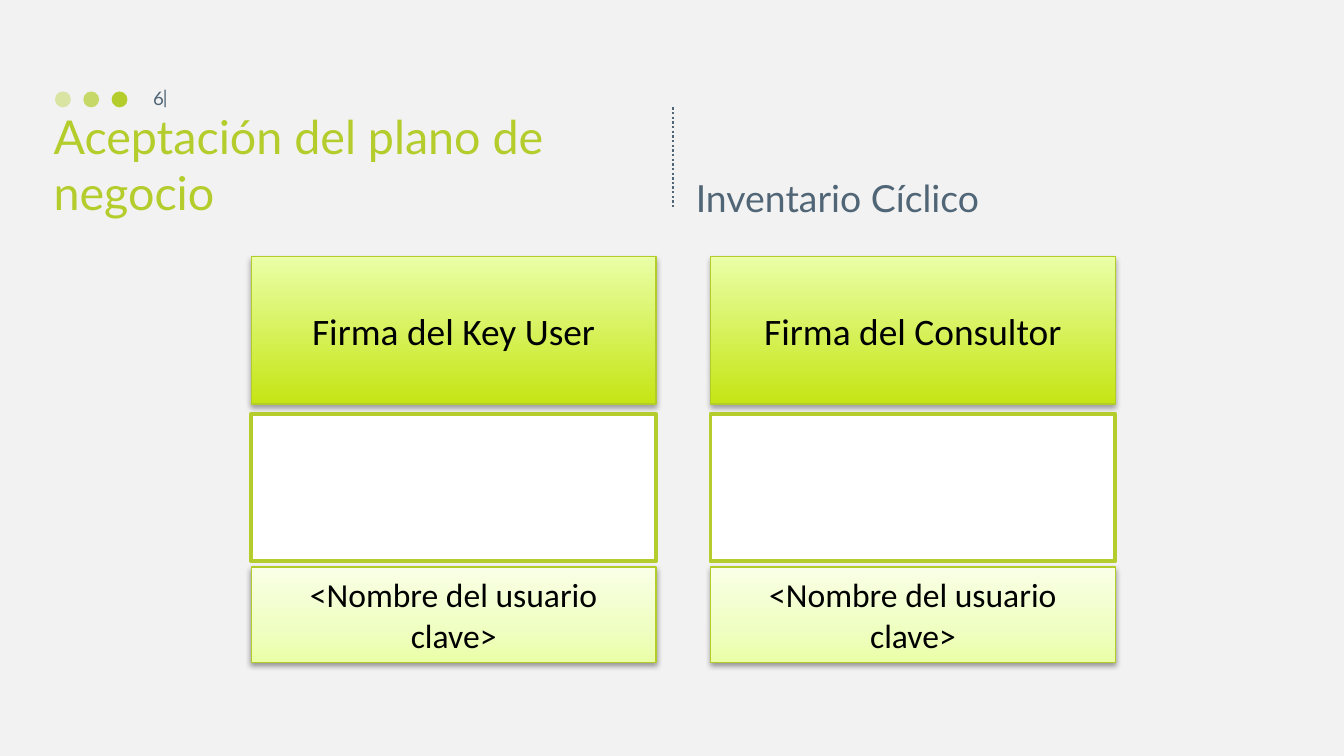
from lxml import etree
from pptx import Presentation
from pptx.dml.color import RGBColor
from pptx.enum import dml, shapes, text
from pptx.oxml.ns import qn
from pptx.util import Cm, Pt

LIME = RGBColor(0xB4, 0xCD, 0x2C)
EDGE = RGBColor(0xB3, 0xCC, 0x27)
SLATE = RGBColor(0x50, 0x65, 0x76)
PAPER = RGBColor(0xF2, 0xF2, 0xF2)
WHITE = RGBColor(0xFF, 0xFF, 0xFF)
BLACK = RGBColor(0x00, 0x00, 0x00)
HEADER_STOPS = [(0, "C5E514"), (100, "EAFFA7")]
NAME_STOPS = [(0, "EAFFA7"), (35, "EFFFC1"), (100, "F9FFE7")]


def child(parent, tag, **values):
    return etree.SubElement(parent, qn(tag), {k: str(v) for k, v in values.items()})


def write(frame, words, size, color, font="Lato", anchor=text.MSO_ANCHOR.MIDDLE,
          align=text.PP_ALIGN.LEFT):
    frame.word_wrap = True
    frame.auto_size = text.MSO_AUTO_SIZE.NONE
    frame.vertical_anchor = anchor
    line = frame.paragraphs[0]
    line.alignment = align
    run = line.add_run()
    run.text = words
    for key, value in {"name": font, "size": Pt(size)}.items():
        setattr(run.font, key, value)
    run.font.color.rgb = color
    return line


deck = Presentation()
deck.slide_width, deck.slide_height = Cm(25.4), Cm(14.29)
slide = deck.slides.add_slide(deck.slide_layouts[5])
slide.background.fill.solid()
slide.background.fill.fore_color.rgb = PAPER

# Three dots, fading to the left
for i, opacity in enumerate((40, 70, 100)):
    dot = slide.shapes.add_shape(shapes.MSO_SHAPE.OVAL, Cm(1.04 + 0.535 * i), Cm(1.73),
                                 Cm(0.3), Cm(0.3))
    dot.shadow.inherit = False
    dot.fill.solid()
    dot.fill.fore_color.rgb = LIME
    dot.line.fill.background()
    if opacity < 100:
        tint = dot.fill._xPr.find(qn("a:solidFill"))[0]
        child(tint, "a:alpha", val=opacity * 1000)

# Dotted divider between title and subject
divider = slide.shapes.add_connector(shapes.MSO_CONNECTOR.STRAIGHT,
                                     Cm(12.72), Cm(2.03), Cm(12.72), Cm(3.94))
divider.line.color.rgb = SLATE
divider.line.width = Pt(1.25)
divider.line.dash_style = dml.MSO_LINE.ROUND_DOT
child(divider._element.spPr, "a:effectLst")

# Page number and its bar
bar = slide.shapes.add_textbox(Cm(3.05), Cm(1.68), Cm(0.15), Cm(0.38)).text_frame
write(bar, "|", 10, SLATE, anchor=text.MSO_ANCHOR.TOP,
      align=text.PP_ALIGN.CENTER).line_spacing = 0.5
for side, inset in {"left": 0, "right": 0, "top": 0.13, "bottom": 0}.items():
    setattr(bar, f"margin_{side}", Cm(inset))
bar.word_wrap = False
page = slide.shapes.add_textbox(Cm(2.18), Cm(1.47), Cm(1.17), Cm(0.76))
write(page.text_frame, "6", 10, SLATE, align=text.PP_ALIGN.RIGHT)

# Title and subject
title = slide.shapes.title
for key, value in {"left": 0.76, "top": 1.9, "width": 11.66, "height": 2.39}.items():
    setattr(title, key, Cm(value))
write(title.text_frame, "Aceptación del plano de negocio", 25, LIME,
      anchor=text.MSO_ANCHOR.BOTTOM)
subject = slide.shapes.add_textbox(Cm(12.9), Cm(1.9), Cm(11.23), Cm(2.39))
write(subject.text_frame, "Inventario Cíclico", 20, SLATE, anchor=text.MSO_ANCHOR.BOTTOM)

# Signature columns: header, signing space, name
# Each row: top, height, text size, gradient stops, shadow opacity, shadow distance
rows = [
    (4.85, 2.79, 20, HEADER_STOPS, 35, 1.8),
    (7.82, 2.79, None, None, None, None),
    (10.72, 1.8, 18, NAME_STOPS, 38, 1.6),
]
columns = [
    ("Firma del Key User", None, "<Nombre del usuario clave>"),
    ("Firma del Consultor", None, "<Nombre del usuario clave>"),
]
for i, labels in enumerate(columns):
    for label, (top, height, size, stops, opacity, distance) in zip(labels, rows):
        box = slide.shapes.add_shape(shapes.MSO_SHAPE.RECTANGLE, Cm(4.75 + 8.68 * i),
                                     Cm(top), Cm(7.65), Cm(height))
        box.shadow.inherit = False
        if label is None:
            box.fill.solid()
            box.fill.fore_color.rgb = WHITE
            box.line.color.rgb = LIME
            box.line.width = Pt(2)
            continue
        box.line.color.rgb = EDGE
        box.line.width = Pt(0.75)
        box.fill.gradient()
        box.fill.gradient_angle = 90
        properties = box._element.spPr
        stop_list = properties.find(qn("a:gradFill")).find(qn("a:gsLst"))
        stop_list[:] = []
        for place, color in stops:
            child(child(stop_list, "a:gs", pos=place * 1000), "a:srgbClr", val=color)
        shadow = child(properties.find(qn("a:effectLst")), "a:outerShdw", blurRad=Pt(3.1),
                       dist=Pt(distance), dir=90 * 60000, rotWithShape=0)
        child(child(shadow, "a:srgbClr", val="000000"), "a:alpha", val=opacity * 1000)
        write(box.text_frame, label, size, BLACK, font="Calibri", align=text.PP_ALIGN.CENTER)

deck.save("out.pptx")
